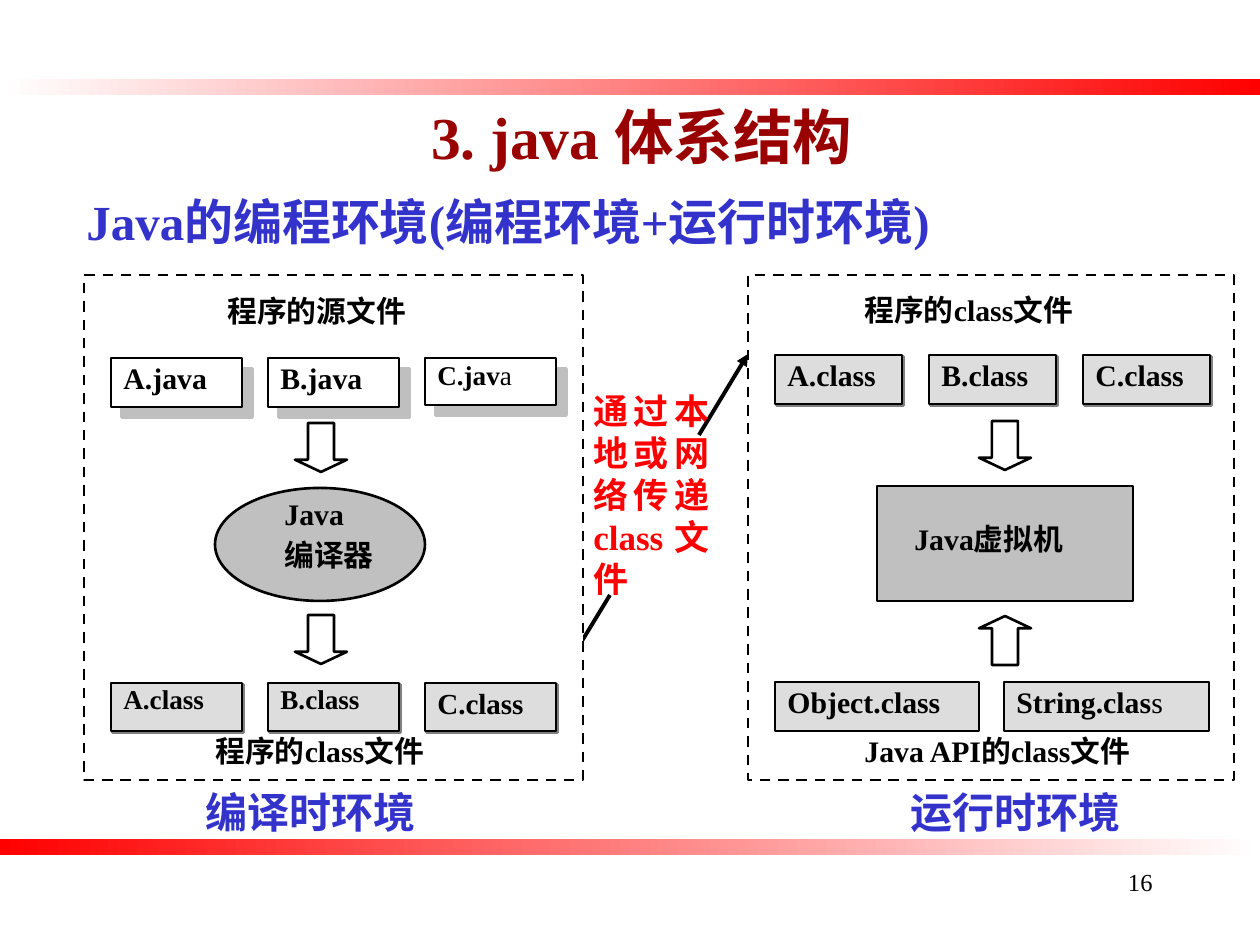
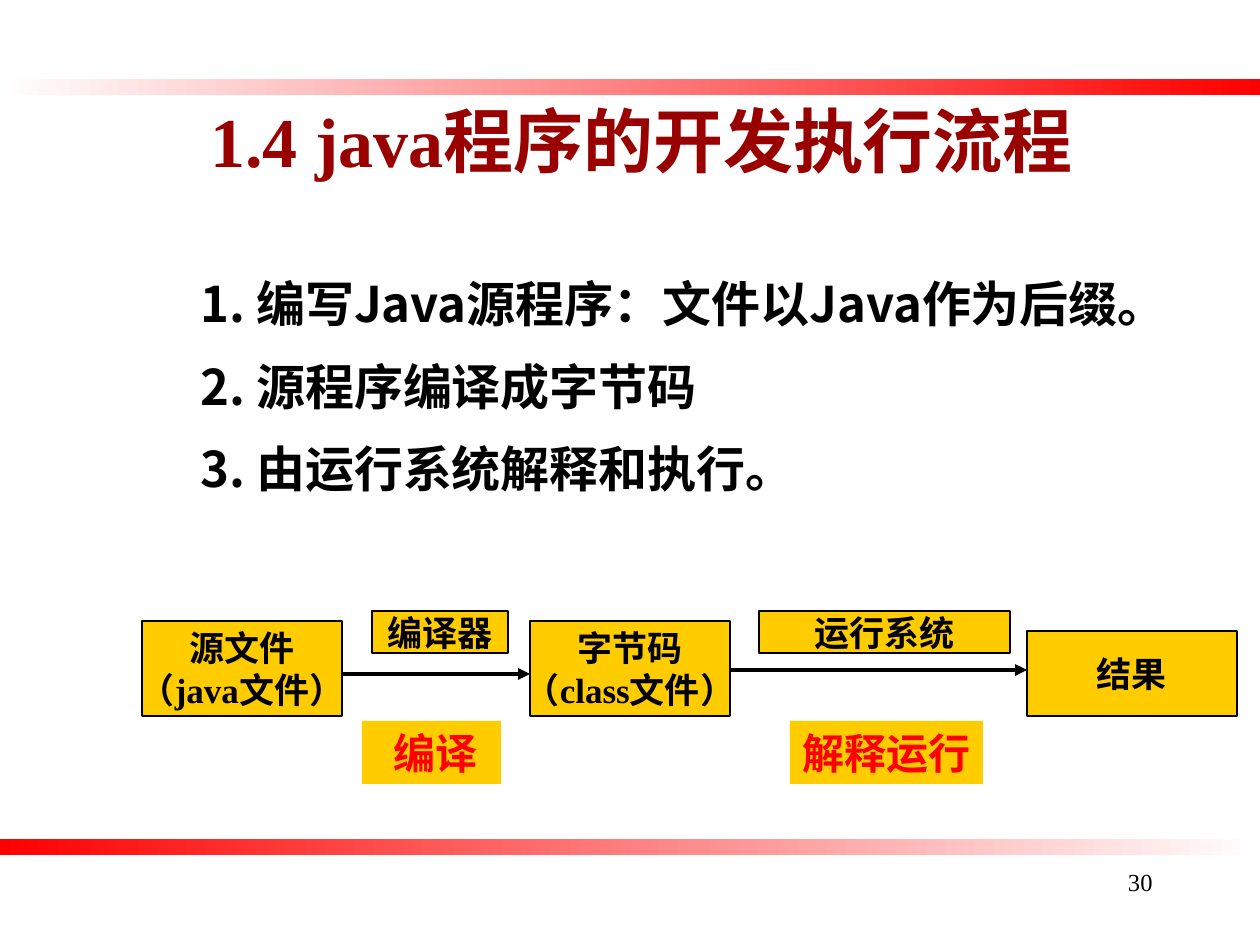
"""Two slides on the Java architecture and its development workflow."""
import pptx
import pptx.dml.color
import pptx.enum.dml
import pptx.enum.shapes
import pptx.enum.text
import pptx.oxml.ns
import pptx.util
from lxml import etree

COLORS = {"black": "000000", "white": "FFFFFF", "red": "FF0000", "title": "990000",
          "blue": "3333CC", "light": "DDDDDD", "gray": "C0C0C0", "shadow": "808080",
          "gold": "FFCC00"}
PRESET = pptx.enum.shapes.MSO_SHAPE
ALIGN = pptx.enum.text.PP_ALIGN
ANCHOR = pptx.enum.text.MSO_ANCHOR
LATIN, CJK = "Times New Roman", "Noto Sans CJK SC"
LABEL = {"size": 17, "align": ALIGN.JUSTIFY, "spacing": 0.9, "before": 5}
SMALL = LABEL | {"size": 15.5, "spacing": 0.8}
MEDIUM = LABEL | {"size": 16.6, "before": 4.5}
STEP = {"size": 20, "align": ALIGN.CENTER, "anchor": ANCHOR.MIDDLE, "wrap": False}
SOFT_SHADOW, THIN_SHADOW = (50, 8.5), (100, 1.4)


def px(length):
    return pptx.util.Emu(round(length * 914400 / 126))


def rgb(name):
    return pptx.dml.color.RGBColor.from_string(COLORS[name])


def add_xml(parent, tag, **attributes):
    return etree.SubElement(parent, pptx.oxml.ns.qn(tag), attributes)


class Deck:
    def __init__(self):
        self.prs = pptx.Presentation()
        self.prs.slide_width, self.prs.slide_height = px(1260), px(945)
        self.layout = self.prs.slide_layouts[5]
        self.slide = None

    def start(self, title, number, **style):
        self.slide = self.prs.slides.add_slide(self.layout)
        heading = self.slide.shapes.title
        heading.left, heading.top, heading.width, heading.height = map(px, (106, 96, 1071, 88))
        self.set_text(heading.text_frame, [title], color="title", align=ALIGN.CENTER,
                      anchor=ANCHOR.MIDDLE, **style)
        self.text((903, 861, 262, 63), [number], size=14, bold=False,
                  align=ALIGN.RIGHT, before=8.8)

    def band(self, top, first, last):
        bar = self.shape((0, top, 1260, 16), None, line=None)
        bar.fill.gradient()
        bar.fill.gradient_angle = 0
        for stop, color in zip(bar.fill.gradient_stops, (first, last)):
            stop.color.rgb = rgb(color)
        self.layout.shapes.element.append(bar.element)

    def shape(self, area, fill, preset=PRESET.RECTANGLE, line=1.5, dashed=False, shadow=None):
        figure = self.slide.shapes.add_shape(preset, *map(px, area))
        figure.shadow.inherit = False
        if fill:
            figure.fill.solid()
            figure.fill.fore_color.rgb = rgb(fill)
        if line:
            figure.line.color.rgb = rgb("black")
            figure.line.width = pptx.util.Pt(line)
        else:
            figure.line.fill.background()
        if dashed:
            figure.line.dash_style = pptx.enum.dml.MSO_LINE.DASH
        if shadow:
            alpha, distance = shadow
            effects = figure.element.spPr.find(pptx.oxml.ns.qn("a:effectLst"))
            outer = add_xml(effects, "a:outerShdw", blurRad="0", dir="2700000", algn="ctr",
                            rotWithShape="0", dist=str(int(pptx.util.Pt(distance))))
            tint = add_xml(outer, "a:srgbClr", val=COLORS["shadow"])
            add_xml(tint, "a:alpha", val=str(alpha * 1000))
        return figure

    def block_arrow(self, left, top, rotation=0):
        arrow = self.shape((left, top, 52, 49), "white", PRESET.DOWN_ARROW)
        arrow.adjustments[1] = 0.25
        arrow.rotation = rotation

    def line(self, start, end, arrowhead=True):
        link = self.slide.shapes.add_connector(
            pptx.enum.shapes.MSO_CONNECTOR.STRAIGHT, *map(px, start + end))
        link.line.color.rgb = rgb("black")
        link.line.width = pptx.util.Pt(2.24)
        if arrowhead:
            outline = link.element.spPr.find(pptx.oxml.ns.qn("a:ln"))
            add_xml(outline, "a:tailEnd", type="triangle")
        add_xml(link.element.spPr, "a:effectLst")

    def text(self, area, lines, **style):
        box = self.slide.shapes.add_textbox(*map(px, area))
        self.set_text(box.text_frame, lines, **style)

    def file_box(self, area, name, fill, shadow=None, **style):
        left, top, width, height = area
        self.shape(area, fill, shadow=shadow)
        self.text((left, top, width + 26, height), [name], **(style or LABEL))

    def step(self, area, lines, **style):
        box = self.shape(area, "gold", line=0.74)
        self.set_text(box.text_frame, lines, **STEP, **style)

    def action(self, area, caption, indent=0):
        box = self.shape(area, "gold", line=None)
        self.set_text(box.text_frame, [caption], size=24, color="red", wrap=False, indent=indent)

    def set_text(self, frame, lines, size, color="black", bold=True, font=LATIN,
                 align=ALIGN.LEFT, anchor=ANCHOR.TOP, wrap=True, spacing=1.0, before=0, indent=0):
        frame.auto_size = pptx.enum.text.MSO_AUTO_SIZE.NONE
        frame.word_wrap = wrap
        frame.vertical_anchor = anchor
        for index, line in enumerate(lines):
            paragraph = frame.add_paragraph() if index else frame.paragraphs[0]
            for words, changes in [(line, {})] if isinstance(line, str) else line:
                run = paragraph.add_run()
                run.text = words
                if "bold" in changes:
                    run.font.bold = changes["bold"]
                if "name" in changes:
                    run.font.name = changes["name"]
            paragraph.alignment = align
            paragraph.line_spacing = spacing
            paragraph.space_before = pptx.util.Pt(before)
            paragraph.font.size = pptx.util.Pt(size)
            paragraph.font.bold = bold
            paragraph.font.name = font
            paragraph.font.color.rgb = rgb(color)
            properties = paragraph._p.get_or_add_pPr()
            add_xml(properties.find(pptx.oxml.ns.qn("a:defRPr")), "a:ea", typeface=CJK)
            if indent:
                properties.set("indent", str(int(px(indent))))


def compile_environment(deck):
    deck.line((557, 682), (610, 595), arrowhead=False)
    deck.shape((84, 275, 499, 505), "white", dashed=True)
    deck.text((215, 291, 237, 49), ["程序的源文件"], **LABEL)
    sources = [("A.java", 49, LABEL), ("B.java", 49, LABEL),
               ([("C.jav", {}), ("a", {"bold": False})], 47, SMALL)]
    classes = [("A.class", SMALL), ("B.class", SMALL), ("C.class", MEDIUM)]
    for column, (source, compiled) in enumerate(zip(sources, classes)):
        left = 111 + 157 * column
        name, height, style = source
        deck.file_box((left, 358, 131, height), name, "white", SOFT_SHADOW, **style)
        name, style = compiled
        deck.file_box((left, 683, 131, 48), name, "light", THIN_SHADOW, **style)
    deck.block_arrow(295, 423)
    deck.shape((215, 488, 210, 113), "gray", PRESET.OVAL)
    deck.text((272, 494, 184, 97), ["Java", "编译器"], **LABEL)
    deck.block_arrow(295, 615)
    deck.text((203, 731, 327, 49), ["程序的class文件"], **LABEL)
    deck.text((193, 780, 348, 63), ["编译时环境"], size=24, color="blue", before=6)


def runtime_environment(deck):
    deck.shape((748, 275, 486, 505), "white", dashed=True)
    deck.text((852, 290, 307, 49), ["程序的class文件"], **LABEL)
    for column, letter in enumerate("ABC"):
        deck.file_box((775 + 154 * column, 355, 127, 49), f"{letter}.class", "light", THIN_SHADOW)
    deck.block_arrow(979, 421)
    deck.shape((877, 486, 256, 115), "gray")
    deck.text((902, 519, 204, 49), ["Java虚拟机"], **LABEL)
    deck.block_arrow(979, 616, rotation=180)
    deck.file_box((775, 682, 204, 49), "Object.class", "light")
    deck.file_box((1004, 682, 205, 49), [("String.clas", {}), ("s", {"bold": False})], "light")
    deck.text((852, 731, 358, 49), ["Java API的class文件"], **LABEL)
    deck.text((898, 780, 320, 63), ["运行时环境"], size=24, color="blue", before=6)


def architecture_slide(deck):
    deck.start("3. java 体系结构", "16", size=34, spacing=0.9)
    deck.band(79, "white", "red")
    deck.band(839, "red", "white")
    deck.text((74, 185, 1142, 72), ["Java的编程环境(编程环境+运行时环境)"],
              size=28, color="blue", before=7)
    deck.line((699, 435), (748, 354))
    deck.text((581, 383, 141, 228), ["通过本地或网络传递class文件"],
              size=20, color="red", align=ALIGN.JUSTIFY, before=5)
    runtime_environment(deck)
    compile_environment(deck)


def workflow_slide(deck):
    deck.start("1.4 java程序的开发执行流程", "30", size=40)
    deck.text((164, 244, 1038, 330),
              ["1. 编写Java源程序：文件以Java作为后缀。", "2. 源程序编译成字节码",
               "3. 由运行系统解释和执行。"], size=28, font=CJK, spacing=1.4, indent=24)
    deck.step((142, 621, 200, 95), ["源文件", "（java文件）"])
    deck.line((342, 674), (530, 674))
    deck.step((372, 611, 136, 42), ["编译器"])
    deck.action((362, 721, 139, 63), "编译", indent=19)
    deck.step((530, 621, 200, 95),
              ["字节码", [("（", {}), ("class", {"name": LATIN}), ("文件）", {})]], font="Lato")
    deck.step((759, 611, 251, 42), ["运行系统"])
    deck.action((790, 721, 193, 63), "解释运行")
    deck.step((1027, 631, 210, 85), ["结果"])
    deck.line((730, 670), (1027, 670))


deck = Deck()
architecture_slide(deck)
workflow_slide(deck)
deck.prs.save("out.pptx")
